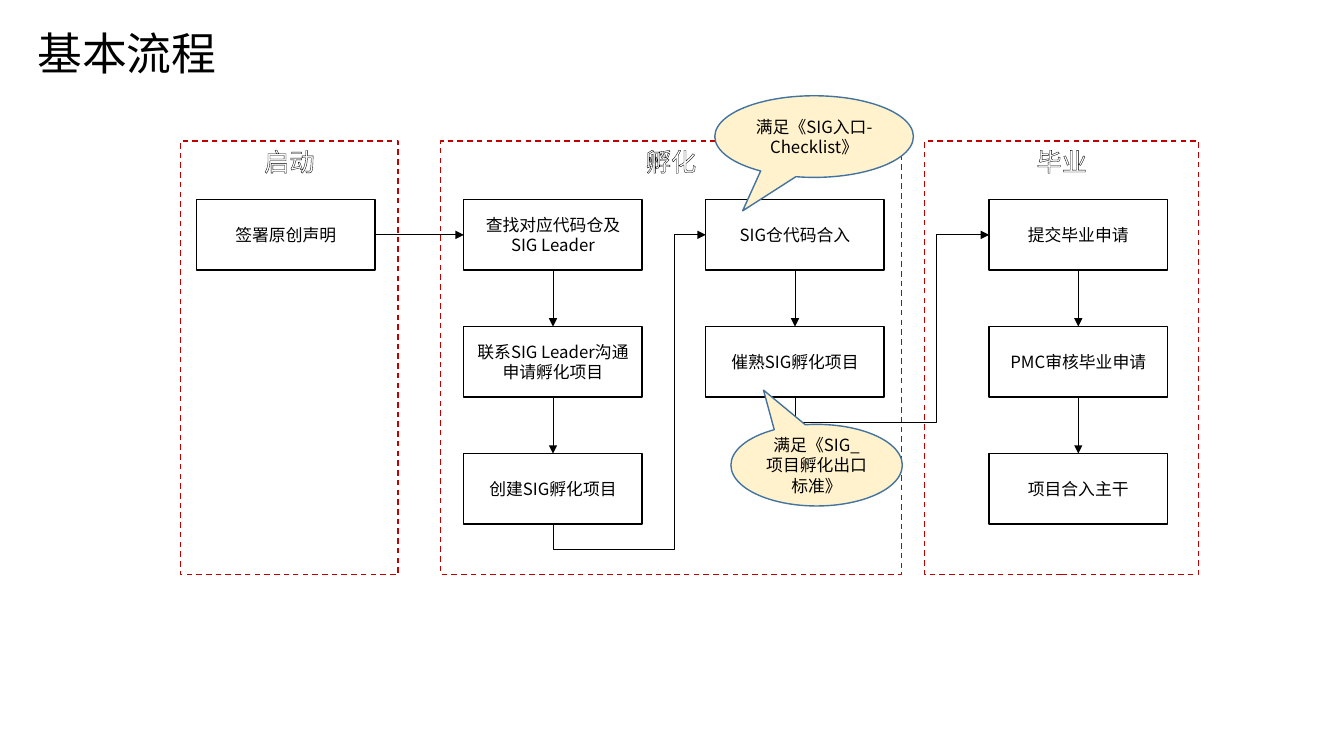
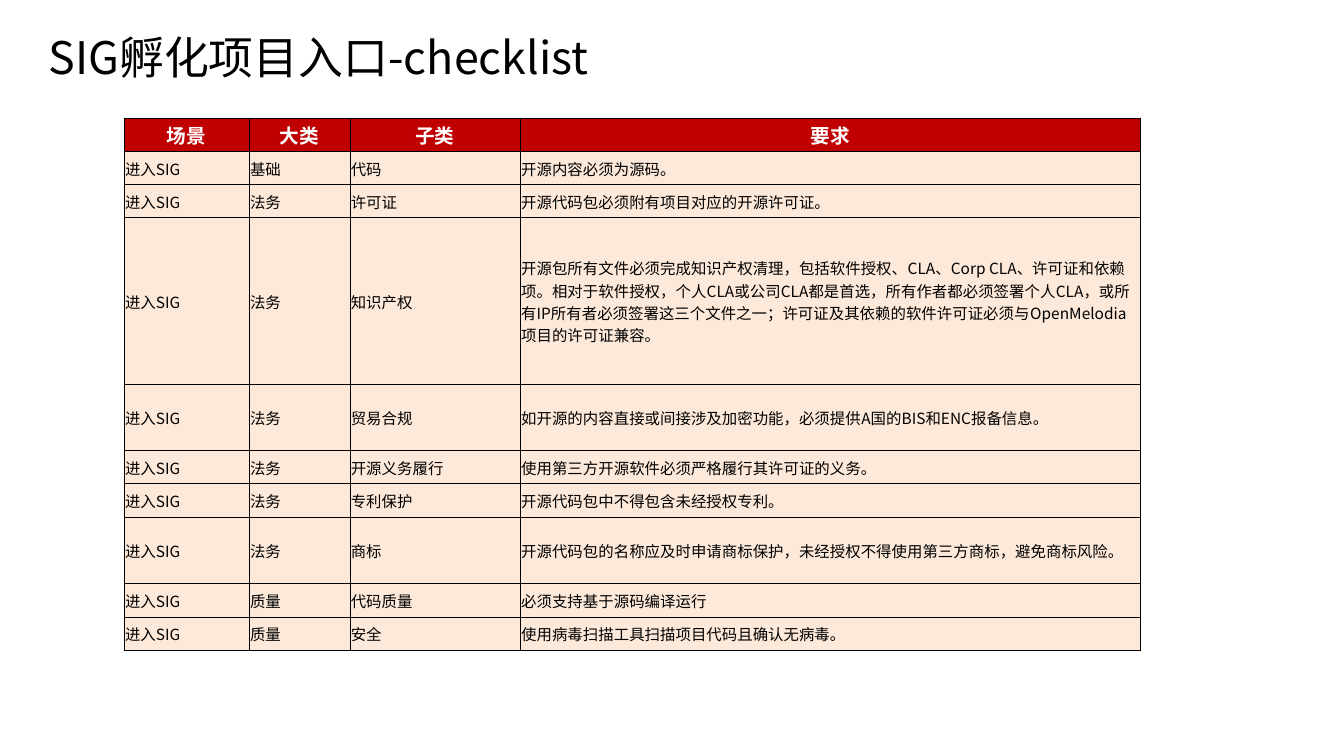
"""Build two slides: an incubation flow chart and its entry checklist."""
from lxml import etree
from pptx import Presentation
from pptx.dml.color import RGBColor
from pptx.enum.dml import MSO_LINE
from pptx.enum.shapes import MSO_CONNECTOR, MSO_SHAPE
from pptx.enum.text import MSO_ANCHOR, PP_ALIGN
from pptx.oxml import parse_xml
from pptx.oxml.ns import nsdecls, qn
from pptx.util import Emu, Inches, Pt

RED = RGBColor(0xC0, 0x00, 0x00)
BLACK = RGBColor(0x00, 0x00, 0x00)
WHITE = RGBColor(0xFF, 0xFF, 0xFF)
CREAM = RGBColor(0xFF, 0xF2, 0xCC)
BLUE = RGBColor(0x43, 0x73, 0x9E)
PEACH = RGBColor(0xFD, 0xE9, 0xD9)
RECT, BUBBLE = MSO_SHAPE.RECTANGLE, MSO_SHAPE.OVAL_CALLOUT
STRAIGHT, ELBOW = MSO_CONNECTOR.STRAIGHT, MSO_CONNECTOR.ELBOW
TOP, MIDDLE = MSO_ANCHOR.TOP, MSO_ANCHOR.MIDDLE
LEFT, CENTER = PP_ALIGN.LEFT, PP_ALIGN.CENTER
DASH = MSO_LINE.DASH
NOTO = "Noto Sans CJK SC"
SITE_TOP, SITE_LEFT, SITE_BOTTOM, SITE_RIGHT = range(4)

BOX_W, BOX_H, BOX_TOP, BOX_STEP = 1.77, 0.7, 1.98, 1.26
PHASE_TOP, PHASE_H, DROP = 1.4, 4.3, 0.25

PHASES = [("启动", 1.79, 2.16), ("孵化", 4.37, 4.57), ("毕业", 9.17, 2.72)]
STEPS = [
    (1.95, ["签署原创声明"]),
    (4.6, ["查找对应代码仓及SIG Leader", "联系SIG Leader沟通申请孵化项目",
           "创建SIG孵化项目"]),
    (7, ["SIG仓代码合入", "催熟SIG孵化项目"]),
    (9.81, ["提交毕业申请", "PMC审核毕业申请", "项目合入主干"]),
]
TURNS = [(1, 6.69), (2, 9.29)]
NOTES = [
    ("满足《SIG_项目孵化出口标准》", (7.25, 4.21, 1.7, 0.81), (-0.31, -0.92)),
    ("满足《SIG入口-Checklist》", (7.09, 0.95, 1.97, 0.81), (-0.36, 0.91)),
]

HEAD = ("场景", "大类", "子类", "要求")
ENTRY = "进入SIG"
COLS = (1.24, 1, 1.69, 6.15)
ROW_H = 0.33
CHECKS = [
    (1, "基础", "代码", "开源内容必须为源码。"),
    (1, "法务", "许可证", "开源代码包必须附有项目对应的开源许可证。"),
    (5, "法务", "知识产权",
     "开源包所有文件必须完成知识产权清理，包括软件授权、CLA、Corp CLA、许可证和依赖项。"
     "相对于软件授权，个人CLA或公司CLA都是首选，所有作者都必须签署个人CLA，"
     "或所有IP所有者必须签署这三个文件之一；"
     "许可证及其依赖的软件许可证必须与OpenMelodia项目的许可证兼容。"),
    (2, "法务", "贸易合规",
     "如开源的内容直接或间接涉及加密功能，必须提供A国的BIS和ENC报备信息。"),
    (1, "法务", "开源义务履行", "使用第三方开源软件必须严格履行其许可证的义务。"),
    (1, "法务", "专利保护", "开源代码包中不得包含未经授权专利。"),
    (2, "法务", "商标",
     "开源代码包的名称应及时申请商标保护，未经授权不得使用第三方商标，避免商标风险。"),
    (1, "质量", "代码质量", "必须支持基于源码编译运行"),
    (1, "质量", "安全", "使用病毒扫描工具扫描项目代码且确认无病毒。"),
]


def write(frame, text, size, color=BLACK, align=CENTER, bold=False, face=NOTO):
    frame.text = text
    para = frame.paragraphs[0]
    para.alignment = align
    font = para.font
    font.size, font.bold, font.name = Pt(size), bold, face
    font.color.rgb = color
    etree.SubElement(font._element, qn("a:ea")).set("typeface", NOTO)
    return para


def add_page(deck, title, left, top, width):
    page = deck.slides.add_slide(deck.slide_layouts[5])
    head = page.shapes.title
    head.left, head.top = Inches(left), Inches(top)
    head.width, head.height = Inches(width), Inches(0.64)
    frame = head.text_frame
    write(frame, title, 32, align=LEFT)
    frame.word_wrap = False
    frame.vertical_anchor = TOP
    return page


def add_box(page, kind, area, line, fill=None):
    box = page.shapes.add_shape(kind, *map(Inches, area))
    box.shadow.inherit = False
    if fill is None:
        box.fill.background()
    else:
        box.fill.solid()
        box.fill.fore_color.rgb = fill
    box.line.color.rgb = line
    box.line.width = Pt(1)
    box.text_frame.word_wrap = True
    box.text_frame.vertical_anchor = MIDDLE
    return box


def add_phase(page, name, left, width):
    box = add_box(page, RECT, (left, PHASE_TOP, width, PHASE_H), RED)
    box.line.dash_style = DASH
    box.text_frame.vertical_anchor = TOP
    para = write(box.text_frame, name, 18, WHITE, face="Calibri")
    para.runs[0]._r.get_or_add_rPr().insert(0, parse_xml(
        f'<a:ln {nsdecls("a")} w="9525"><a:solidFill>'
        f'<a:srgbClr val="{BLACK}"/></a:solidFill></a:ln>'))


def link(page, start, out, end, into, kind=STRAIGHT):
    line = page.shapes.add_connector(kind, 0, 0, 0, 0)
    line.begin_connect(start, out)
    line.end_connect(end, into)
    line.line.color.rgb = BLACK
    line.line.width = Pt(0.5)
    etree.SubElement(line.line._get_or_add_ln(), qn("a:tailEnd")).set("type", "triangle")
    etree.SubElement(line._element.spPr, qn("a:effectLst"))
    return line


def bend(page, start, end, turn):
    """Run below the start box, up at the turn, then into the end box."""
    line = link(page, start, SITE_BOTTOM, end, SITE_LEFT, ELBOW)
    left, low = line.begin_x, line.begin_y
    wide, tall = line.end_x - left, low - line.end_y
    line.left = Emu(left + (wide - tall) // 2)
    line.top = Emu(low - (tall + wide) // 2)
    line.width, line.height = Emu(tall), Emu(wide)
    props = line._element.spPr
    for key, value in (("rot", "5400000"), ("flipH", "1"), ("flipV", "1")):
        props.xfrm.set(key, value)
    shape = props.find(qn("a:prstGeom"))
    shape.set("prst", "bentConnector4")
    guides = shape.find(qn("a:avLst"))
    if guides is None:
        guides = etree.SubElement(shape, qn("a:avLst"))
    shares = (-Inches(DROP) / tall, (Inches(turn) - left) / wide)
    for num, share in enumerate(shares, 1):
        guide = etree.SubElement(guides, qn("a:gd"))
        guide.set("name", f"adj{num}")
        guide.set("fmla", f"val {round(share * 100000)}")


def draw_flow(page):
    for phase in PHASES:
        add_phase(page, *phase)
    grid = []
    for left, names in STEPS:
        boxes = []
        for row, name in enumerate(names):
            area = (left, BOX_TOP + row * BOX_STEP, BOX_W, BOX_H)
            box = add_box(page, RECT, area, BLACK)
            write(box.text_frame, name, 12)
            boxes.append(box)
        for upper, lower in zip(boxes, boxes[1:]):
            link(page, upper, SITE_BOTTOM, lower, SITE_TOP)
        grid.append(boxes)
    link(page, grid[0][0], SITE_RIGHT, grid[1][0], SITE_LEFT)
    for col, turn in TURNS:
        bend(page, grid[col][-1], grid[col + 1][0], turn)
    for text, area, tip in NOTES:
        note = add_box(page, BUBBLE, area, BLUE, CREAM)
        note.adjustments[0], note.adjustments[1] = tip
        write(note.text_frame, text, 12)


def fill_cell(cell, text, head):
    cell.margin_left = cell.margin_right = cell.margin_top = Inches(0.01)
    cell.margin_bottom = 0
    cell.vertical_anchor = MIDDLE
    if head:
        write(cell.text_frame, text, 14, WHITE, bold=True)
    else:
        write(cell.text_frame, text, 11, align=LEFT)
    props = cell._tc.get_or_add_tcPr()
    for side in ("lnL", "lnR", "lnT", "lnB"):
        props.append(parse_xml(
            f'<a:{side} {nsdecls("a")} w="6350"><a:solidFill>'
            f'<a:srgbClr val="{BLACK}"/></a:solidFill></a:{side}>'))
    cell.fill.solid()
    cell.fill.fore_color.rgb = RED if head else PEACH


def draw_table(page):
    rows = [HEAD] + [(ENTRY, *check[1:]) for check in CHECKS]
    spans = [1] + [check[0] for check in CHECKS]
    area = (1.23, 1.17, sum(COLS), ROW_H * sum(spans))
    table = page.shapes.add_table(len(rows), len(COLS), *map(Inches, area)).table
    for col, width in zip(table.columns, COLS):
        col.width = Inches(width)
    for num, (texts, span) in enumerate(zip(rows, spans)):
        table.rows[num].height = Inches(ROW_H * span)
        for cell, text in zip(table.rows[num].cells, texts):
            fill_cell(cell, text, num == 0)


def main():
    deck = Presentation()
    deck.slide_width, deck.slide_height = Inches(13.33), Inches(7.5)
    draw_flow(add_page(deck, "基本流程", 0.27, 0.2, 2))
    draw_table(add_page(deck, "SIG孵化项目入口-checklist", 0.38, 0.24, 5.89))
    deck.save("out.pptx")


if __name__ == "__main__":
    main()
